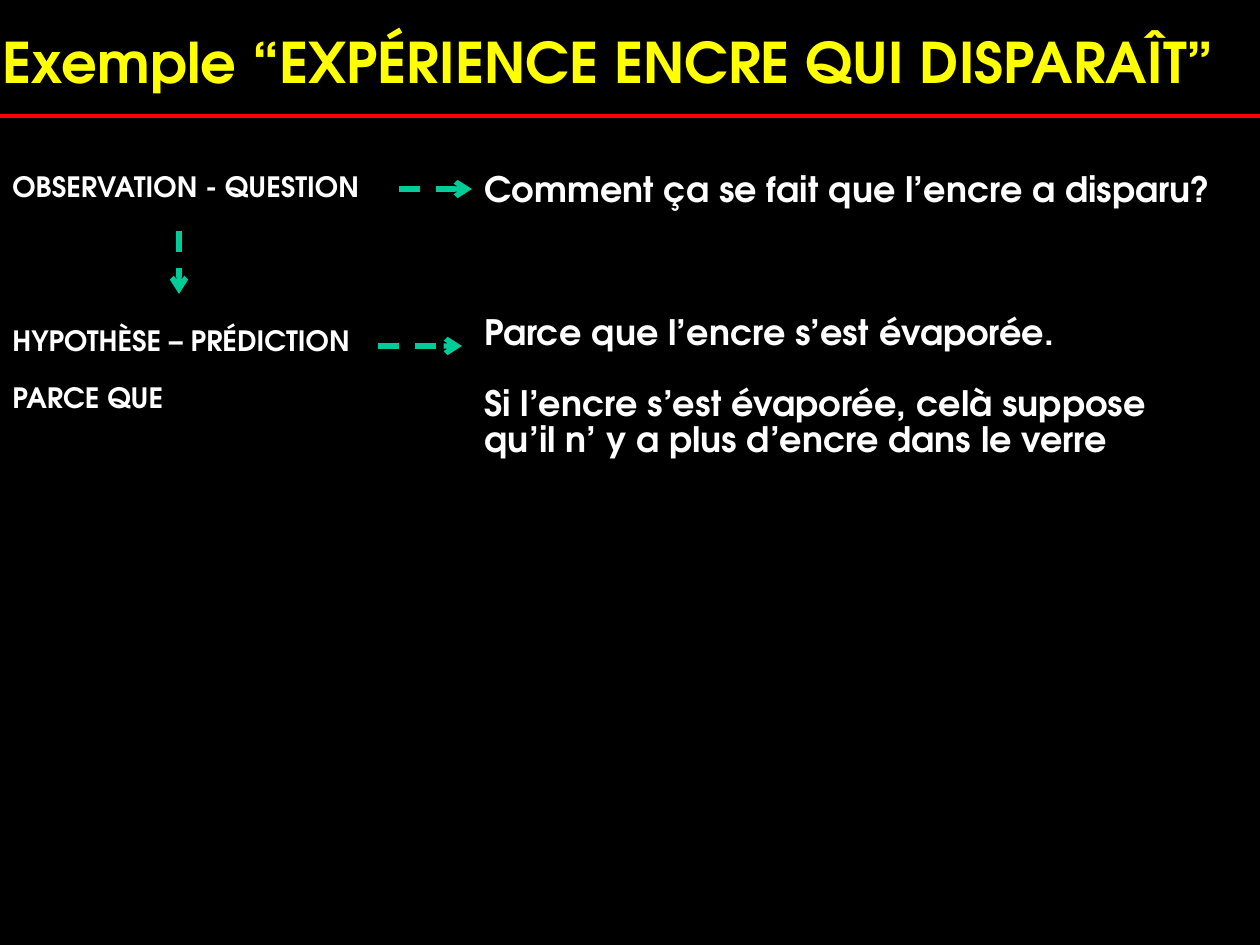
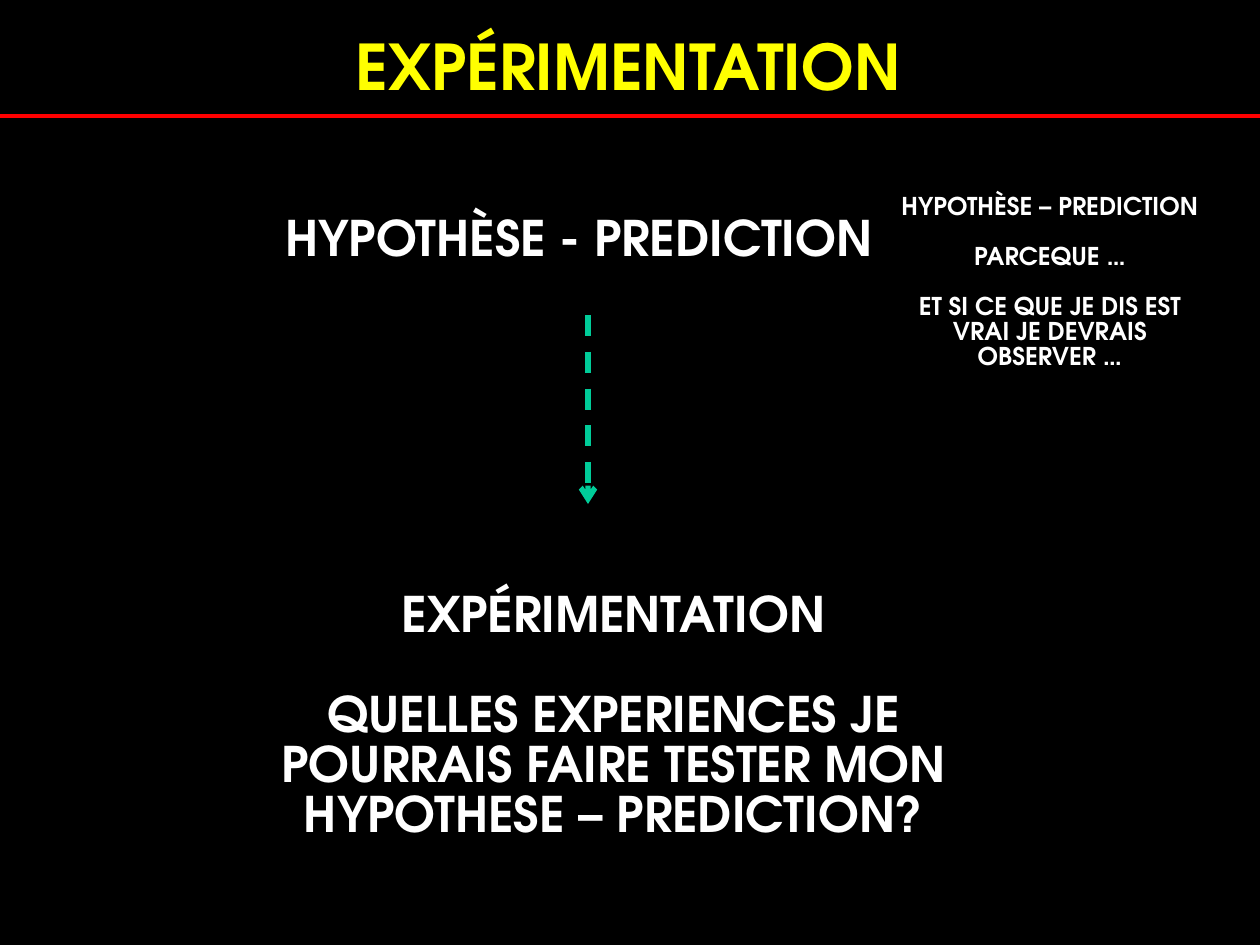
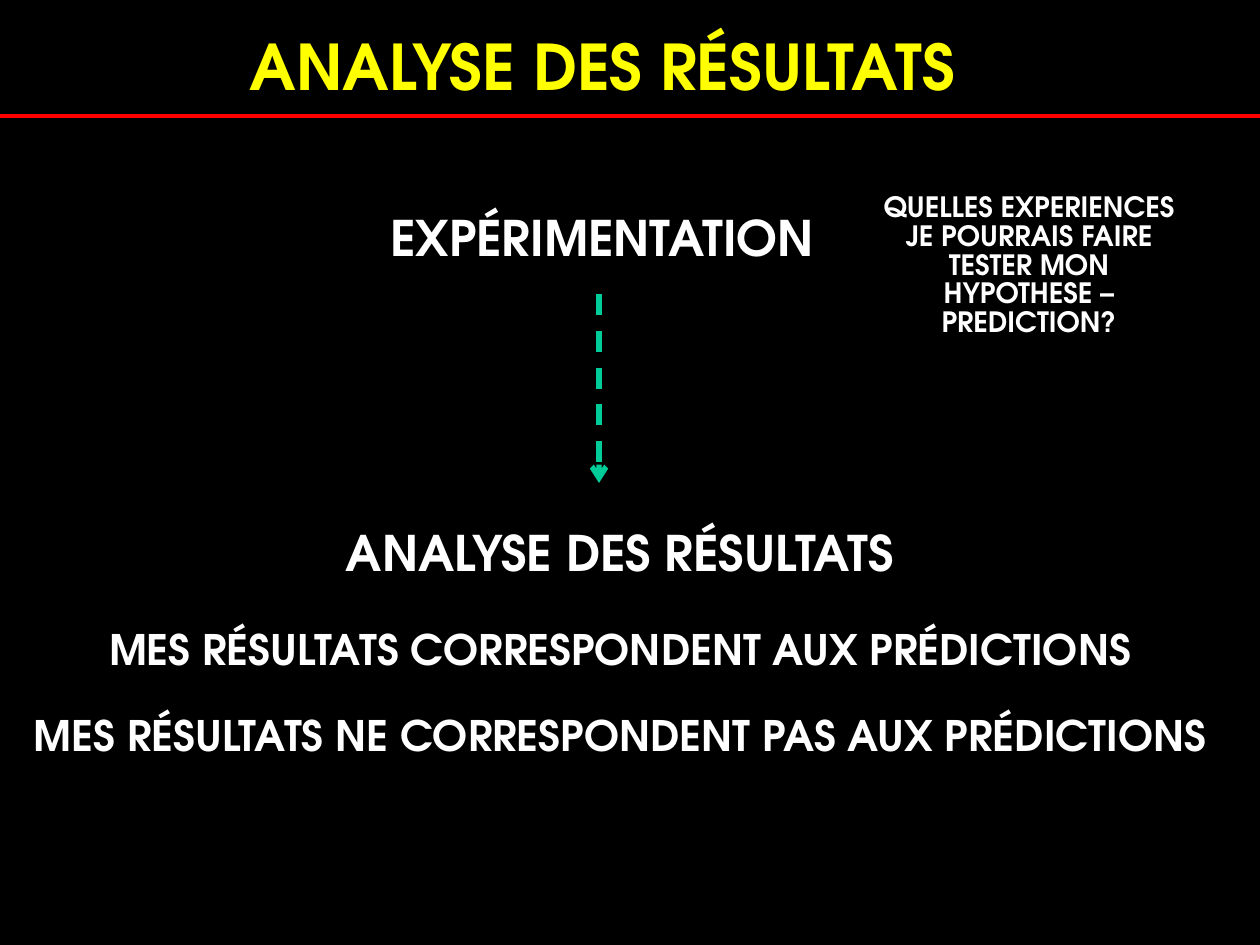
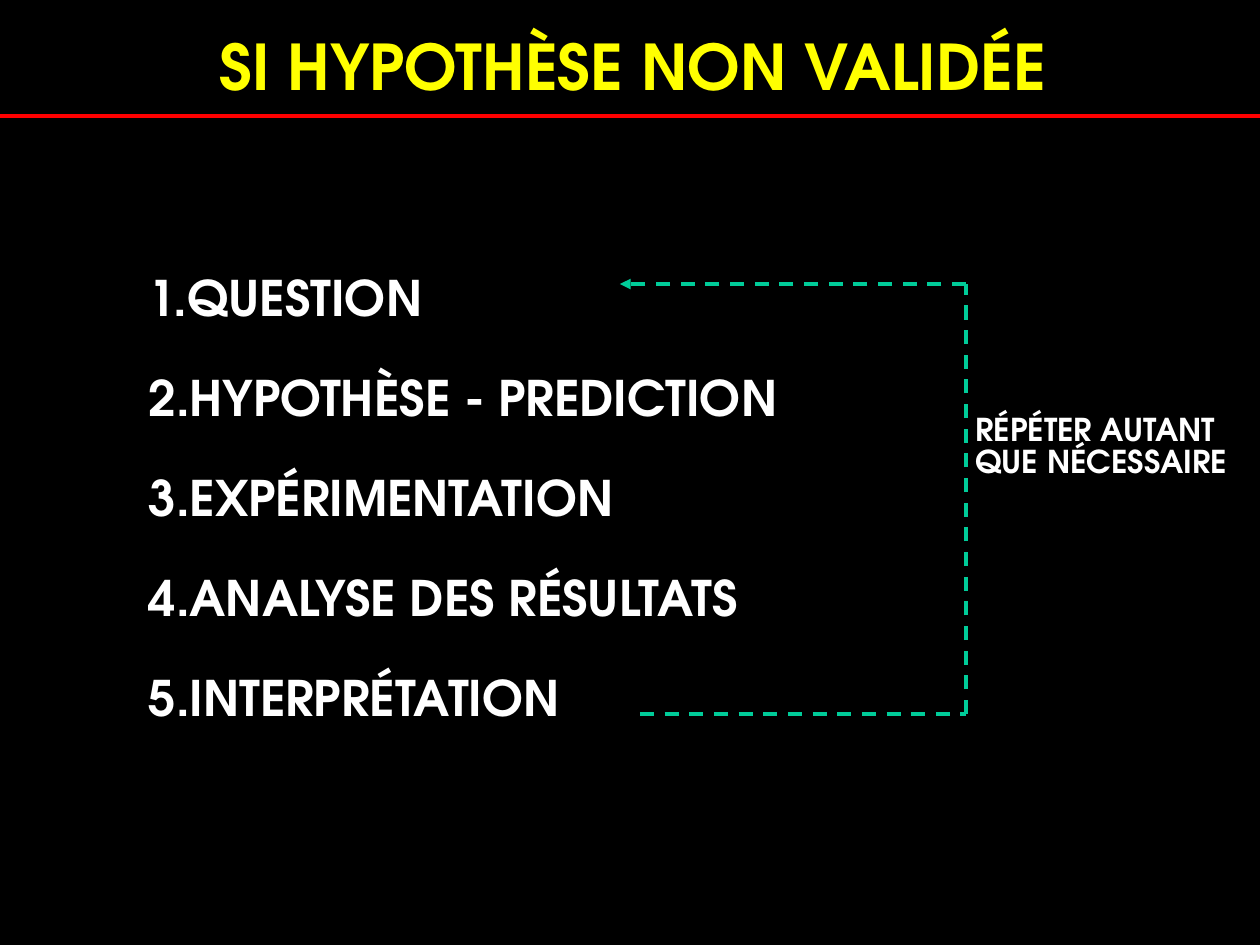
from lxml import etree
from pptx import Presentation
from pptx import util as u
from pptx.dml.color import RGBColor
from pptx.enum import dml, shapes, text
from pptx.oxml import ns

PX = 914400 / 126
WIDE, HIGH = 1260, 945
FONT = "TeX Gyre Adventor"
BLACK, WHITE, YELLOW, RED, GREEN = "000000", "FFFFFF", "FFFF00", "FF0000", "00CC99"
SPACING = 0.85
PITCH = 1.02
LEFT, MID = text.PP_ALIGN.LEFT, text.PP_ALIGN.CENTER
LIST_LAYOUT, TITLE_LAYOUT = 1, 5


def px(n):
    """Turn whole pixels into EMU."""
    return u.Emu(round(n * PX))


def paint(fmt, color):
    """Give a fill a solid colour."""
    fmt.solid()
    fmt.fore_color.rgb = RGBColor.from_string(color)


def node(parent, tag, **attrs):
    """Append a DrawingML element."""
    return etree.SubElement(parent, ns.qn("a:" + tag), attrs)


def place(shape, box):
    """Move and size a shape."""
    shape.left, shape.top, shape.width, shape.height = map(px, box)


def setup(frame, wrap=True, drop=0):
    """Set wrapping and insets; drop is extra room above, in points."""
    frame.auto_size = text.MSO_AUTO_SIZE.SHAPE_TO_FIT_TEXT
    frame.word_wrap = wrap
    frame.vertical_anchor = text.MSO_ANCHOR.TOP
    frame.margin_left = frame.margin_right = u.Inches(0.1)
    frame.margin_top = u.Inches(0.05) + u.Pt(drop)
    frame.margin_bottom = u.Inches(0.05)


def write(para, words, size, color=WHITE, align=LEFT):
    """Add one styled run to a paragraph."""
    para.alignment = align
    run = para.add_run()
    run.text = words
    font = run.font
    font.name, font.size, font.bold = FONT, u.Pt(size), True
    font.color.rgb = RGBColor.from_string(color)


def number(para):
    """Number a paragraph with no indent."""
    props = para._p.get_or_add_pPr()
    props.set("marL", "0")
    props.set("indent", "0")
    node(node(props, "buClr"), "srgbClr", val=WHITE)
    node(props, "buFont", typeface=FONT)
    node(props, "buAutoNum", type="arabicPeriod")


def fill(frame, items, align=LEFT, listed=False):
    """Write (words, size, lines skipped) items as paragraphs."""
    last = 0
    for i, (words, size, skip) in enumerate(items):
        para = frame.add_paragraph() if i else frame.paragraphs[0]
        if listed:
            number(para)
        para.line_spacing = SPACING
        para.space_before = u.Pt(round(skip * last * PITCH, 2))
        write(para, words, size, align=align)
        last = size


def label(slide, box, items, align=LEFT, wrap=True, drop=0):
    """Add a text box."""
    shape = slide.shapes.add_textbox(*map(px, box))
    setup(shape.text_frame, wrap, drop)
    fill(shape.text_frame, items, align)


def line(slide, start, end, color=GREEN, width=3, dash=True, head=None):
    """Draw a line with an optional arrowhead."""
    link = slide.shapes.add_connector(
        shapes.MSO_CONNECTOR.STRAIGHT, *map(px, (*start, *end)))
    paint(link.line.fill, color)
    link.line.width = u.Pt(width)
    if dash:
        link.line.dash_style = dml.MSO_LINE.DASH
    if head:
        node(link.line._get_or_add_ln(), "tailEnd", type=head)
    node(link._element.spPr, "effectLst")


def page(prs, words, left, width, size=36, layout=TITLE_LAYOUT):
    """Add a slide with its title and red rule."""
    slide = prs.slides.add_slide(prs.slide_layouts[layout])
    line(slide, (0, 116), (WIDE, 116), RED, 2.25, dash=False)
    title = slide.shapes.title
    place(title, (left, 21, width, 88 if size == 36 else 81))
    setup(title.text_frame, wrap=False)
    write(title.text_frame.paragraphs[0], words, size, YELLOW)
    return slide


def example(prs):
    """Build the vanishing ink slide."""
    slide = page(prs, "Exemple “EXPÉRIENCE ENCRE QUI DISPARAÎT”", -10, 1298, 32)
    label(slide, (0, 294, 402, 132),
          [("HYPOTHÈSE – PRÉDICTION", 16, 0), ("PARCE QUE", 16, 1)],
          drop=16 * PITCH)
    label(slide, (0, 168, 388, 71), [("OBSERVATION - QUESTION", 16, 0)])
    label(slide, (472, 168, 756, 299), [
        ("Comment ça se fait que l’encre a disparu?", 20, 0),
        ("Parce que l’encre s’est évaporée.", 20, 3),
        ("Si l’encre s’est évaporée, celà suppose "
         "qu’il n’ y a plus d’encre dans le verre", 20, 1)])
    for start, end in (((179, 231), (179, 294)),
                       ((399, 189), (472, 189)),
                       ((378, 346), (462, 346))):
        line(slide, start, end, head="arrow")


def trial(prs):
    """Build the experiment slide."""
    slide = page(prs, "EXPÉRIMENTATION", 343, 631)
    label(slide, (273, 210, 630, 113), [("HYPOTHÈSE - PREDICTION", 28, 0)])
    line(slide, (588, 315), (588, 504), head="arrow")
    label(slide, (882, 189, 336, 263), [
        ("HYPOTHÈSE – PREDICTION", 14, 0),
        ("PARCEQUE …", 14, 1),
        ("ET SI CE QUE JE DIS EST VRAI JE DEVRAIS OBSERVER …", 14, 1)], MID)
    label(slide, (262, 536, 703, 372), [
        ("EXPÉRIMENTATION", 28, 0),
        ("QUELLES EXPERIENCES JE POURRAIS FAIRE TESTER MON "
         "HYPOTHESE – PREDICTION?", 28, 1)], MID, drop=28 * PITCH)


def results(prs):
    """Build the results slide."""
    slide = page(prs, "ANALYSE DES RÉSULTATS", 237, 804)
    label(slide, (378, 210, 462, 113), [("EXPÉRIMENTATION", 28, 0)])
    line(slide, (599, 294), (599, 483), head="arrow")
    label(slide, (861, 189, 336, 241), [
        ("QUELLES EXPERIENCES JE POURRAIS FAIRE TESTER MON "
         "HYPOTHESE – PREDICTION?", 16, 0)], MID)
    label(slide, (-73, 525, 1386, 285), [
        ("ANALYSE DES RÉSULTATS", 28, 0),
        ("MES RÉSULTATS CORRESPONDENT AUX PRÉDICTIONS", 24, 1),
        ("MES RÉSULTATS NE CORRESPONDENT PAS AUX PRÉDICTIONS", 24, 1)], MID)


def cycle(prs):
    """Build the repeated steps slide."""
    slide = page(prs, "SI HYPOTHÈSE NON VALIDÉE", 207, 915, layout=LIST_LAYOUT)
    body = slide.placeholders[1]
    place(body, (136, 220, 746, 621))
    setup(body.text_frame, drop=28 * PITCH)
    steps = ("QUESTION", "HYPOTHÈSE - PREDICTION", "EXPÉRIMENTATION",
             "ANALYSE DES RÉSULTATS", "INTERPRÉTATION")
    fill(body.text_frame, [(step, 28, min(i, 1)) for i, step in enumerate(steps)],
         listed=True)
    loop = ((640, 714), (966, 714), (966, 284), (620, 284))
    for start, end in zip(loop, loop[1:]):
        line(slide, start, end, width=2,
             head="triangle" if end == loop[-1] else None)
    label(slide, (963, 410, 295, 77),
          [("RÉPÉTER AUTANT", 18, 0), ("QUE NÉCESSAIRE", 18, 0)], wrap=False)


def main():
    """Build and save the deck."""
    prs = Presentation()
    prs.slide_width, prs.slide_height = px(WIDE), px(HIGH)
    paint(prs.slide_master.background.fill, BLACK)
    for build in (example, trial, results, cycle):
        build(prs)
    prs.save("out.pptx")


if __name__ == "__main__":
    main()
